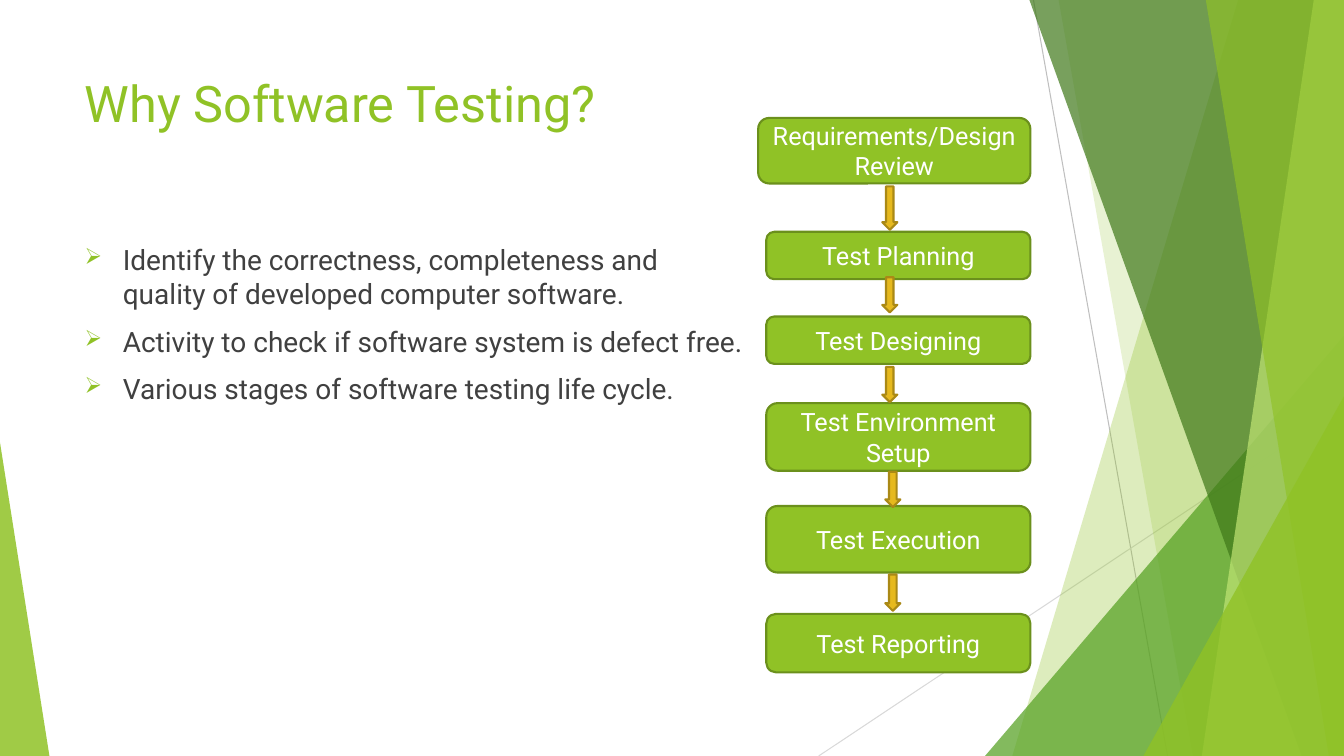
from lxml import etree
from pptx import Presentation, util as u
from pptx.dml.color import RGBColor
from pptx.enum import shapes, text
from pptx.oxml import ns

GREEN, WHITE, INK = "90C226", "FFFFFF", "404040"

deck = Presentation()
deck.slide_width, deck.slide_height = u.Inches(13.33), u.Inches(7.5)
COLUMNS, ROWS = 1333, 750
cell = deck.slide_height // ROWS
page = deck.slides.add_slide(deck.slide_layouts[5])
kinds = shapes.MSO_SHAPE


def paint(shape, fill, line=None, opacity=100):
    shape.shadow.inherit = False
    shape.fill.solid()
    shape.fill.fore_color.rgb = RGBColor.from_string(fill)
    if opacity < 100:
        color = shape.fill._xPr.find(".//" + ns.qn("a:srgbClr"))
        etree.SubElement(color, ns.qn("a:alpha"), val=str(opacity * 1000))
    if line:
        shape.line.color.rgb = RGBColor.from_string(line)
        shape.line.width = u.Pt(1.5)
    else:
        shape.line.fill.background()


def write(para, wording, size, color):
    para.text = wording
    for span in para.runs:
        span.font.name = "Roboto"
        span.font.size = u.Pt(size)
        span.font.color.rgb = RGBColor.from_string(color)


for start_x, start_y, end_x, end_y, color in [
    (1025, 0, 1158, ROWS, "BFBFBF"),
    (COLUMNS, 403, 812, ROWS, "D9D9D9"),
]:
    ray = page.shapes.add_connector(
        shapes.MSO_CONNECTOR.STRAIGHT,
        start_x * cell, start_y * cell, end_x * cell, end_y * cell)
    ray.line.color.rgb = RGBColor.from_string(color)
    ray.line.width = u.Pt(0.75)
    etree.SubElement(ray._element.spPr, ns.qn("a:effectLst"))

for form, left, foot, color, opacity in [
    ("band", 1228, 1004, GREEN, 30),
    ("band", 1050, 1183, GREEN, 20),
    ("peak", 977, 333, "54A021", 72),
    ("band", 1021, 1291, "3F7819", 70),
    ("band", 1303, 1192, "C0E474", 70),
    ("band", 1196, 1318, GREEN, 65),
    ("peak", 1134, 393, GREEN, 80),
]:
    if form == "band":
        outline = page.shapes.build_freeform(left, 0, scale=cell)
        outline.add_line_segments([(COLUMNS, 0), (COLUMNS, ROWS), (foot, ROWS)])
        facet = outline.convert_to_shape()
    else:
        facet = page.shapes.add_shape(
            kinds.ISOSCELES_TRIANGLE, left * cell, foot * cell,
            (COLUMNS - left) * cell, (ROWS - foot) * cell)
        facet.adjustments[0] = 1
    paint(facet, color, opacity=opacity)

corner = page.shapes.add_shape(
    kinds.ISOSCELES_TRIANGLE, 0, 439 * cell, 49 * cell, 311 * cell)
corner.adjustments[0] = 0
paint(corner, GREEN, opacity=85)

title = page.shapes.title
title.left, title.top, title.width, title.height = (
    side * cell for side in (74, 67, 940, 144))
title.text_frame.auto_size = text.MSO_AUTO_SIZE.NONE
title.text_frame.vertical_anchor = text.MSO_ANCHOR.TOP
write(title.text_frame.paragraphs[0], "Why Software Testing?", 36, GREEN)
title.text_frame.paragraphs[0].alignment = text.PP_ALIGN.LEFT

body = page.shapes.add_textbox(74 * cell, 236 * cell, 940 * cell, 424 * cell)
body.text_frame.word_wrap = True
reasons = [
    "Identify the correctness, completeness and \vquality of developed computer software.",
    "Activity to check if software system is defect free.",
    "Various stages of software testing life cycle.",
]
for index, reason in enumerate(reasons):
    para = body.text_frame.add_paragraph() if index else body.text_frame.paragraphs[0]
    write(para, reason, 20, INK)
    para.space_before = u.Pt(10)
    props = para._p.get_or_add_pPr()
    props.set("marL", str(38 * cell))
    props.set("indent", str(-38 * cell))
    bullet_color = etree.SubElement(props, ns.qn("a:buClr"))
    etree.SubElement(bullet_color, ns.qn("a:srgbClr"), val=GREEN)
    etree.SubElement(props, ns.qn("a:buSzPct"), val="80000")
    etree.SubElement(props, ns.qn("a:buChar"), char="➢")

STAGE_RIGHT = 1022
for stage, left, top, height in [
    ("Requirements/Design Review", 752, 117, 65),
    ("Test Planning", 760, 230, 47),
    ("Test Designing", 760, 314, 47),
    ("Test Environment Setup", 760, 400, 67),
    ("Test Execution", 760, 502, 66),
    ("Test Reporting", 760, 609, 58),
]:
    box = page.shapes.add_shape(
        kinds.ROUNDED_RECTANGLE, left * cell, top * cell,
        (STAGE_RIGHT - left) * cell, height * cell)
    paint(box, GREEN, "6B901C")
    box.text_frame.word_wrap = True
    box.text_frame.vertical_anchor = text.MSO_ANCHOR.MIDDLE
    write(box.text_frame.paragraphs[0], stage, 18, WHITE)
    box.text_frame.paragraphs[0].alignment = text.PP_ALIGN.CENTER

for left, top, height in [
    (875, 185, 43), (875, 275, 35), (875, 364, 35), (878, 468, 35), (878, 570, 36),
]:
    arrow = page.shapes.add_shape(
        kinds.DOWN_ARROW, left * cell, top * cell, 15 * cell, height * cell)
    paint(arrow, "E6B91E", "AA8916")

deck.save("out.pptx")
